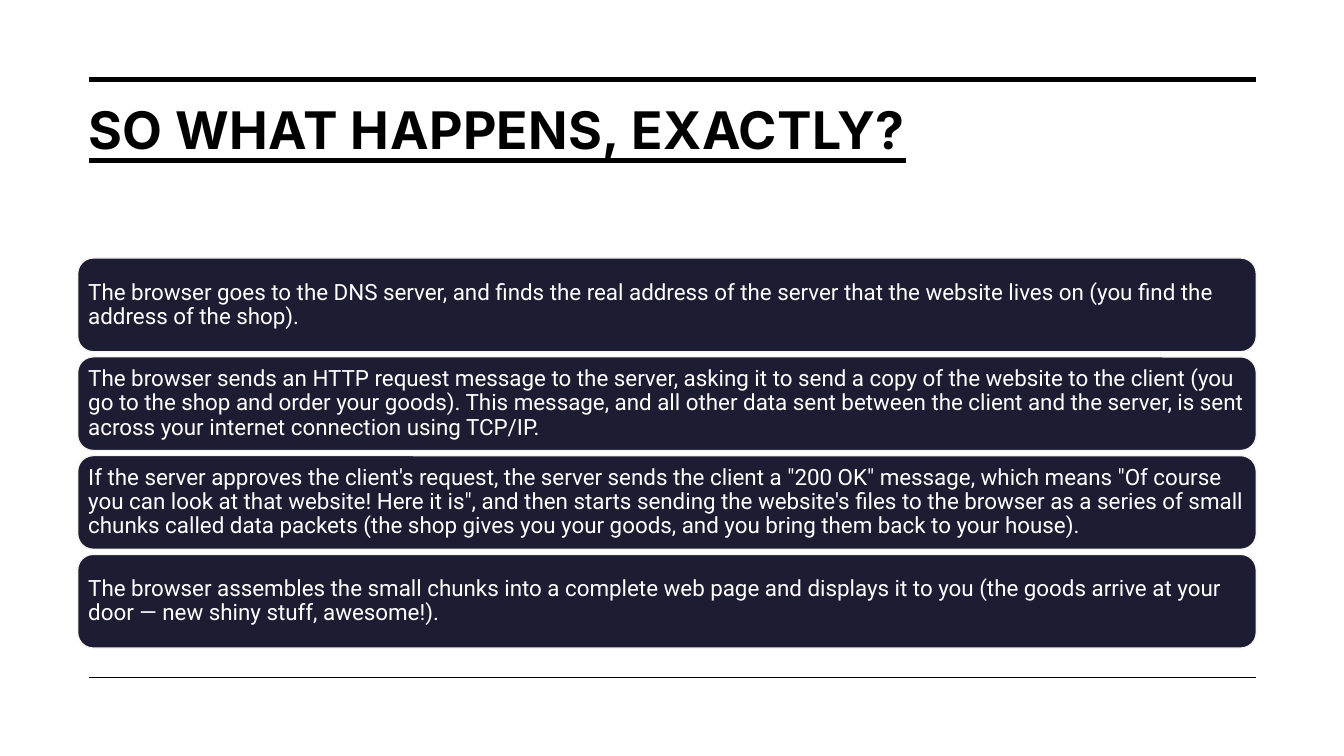
from lxml import etree
from pptx import Presentation
from pptx import util as u
from pptx.dml.color import RGBColor
from pptx.enum import shapes, text
from pptx.oxml.ns import qn

TITLE = "SO WHAT HAPPENS, EXACTLY?"
STEPS = [
    "The browser goes to the DNS server, and finds the real address of the server that the website lives on (you find the address of the shop).",
    "The browser sends an HTTP request message to the server, asking it to send a copy of the website to the client (you go to the shop and order your goods). This message, and all other data sent between the client and the server, is sent across your internet connection using TCP/IP.",
    "If the server approves the client's request, the server sends the client a \"200 OK\" message, which means \"Of course you can look at that website! Here it is\", and then starts sending the website's files to the browser as a series of small chunks called data packets (the shop gives you your goods, and you bring them back to your house).",
    "The browser assembles the small chunks into a complete web page and displays it to you (the goods arrive at your door — new shiny stuff, awesome!).",
]
RULES = [(0.79, 3.5), (6.72, 1)]

LEFT, WIDTH = 0.77, 11.69
RULE_LEFT, RULE_RIGHT = 0.88, 12.46
STEP_TOP, STEP_HEIGHT, STEP_PITCH = 2.56, 0.93, 0.98
CORNER = 0.155


def color(value):
    return RGBColor.from_string(value)


def write(box, words, font, size, ink, spacing, anchor, side, top):
    frame = box.text_frame
    frame.word_wrap = True
    frame.vertical_anchor = anchor
    frame.margin_left = frame.margin_right = u.Inches(side)
    frame.margin_top = frame.margin_bottom = u.Inches(top)
    para = frame.paragraphs[0]
    para.alignment = text.PP_ALIGN.LEFT
    para.line_spacing = spacing
    span = para.add_run()
    span.text = words
    span.font.name = font
    span.font.size = u.Pt(size)
    span.font.color.rgb = color(ink)
    return para, span


def add_title(page):
    box = page.shapes.add_textbox(u.Inches(LEFT), u.Inches(0.99), u.Inches(WIDTH), u.Inches(1.26))
    para, span = write(box, TITLE, "Inter", 37, "000000", 0.8, text.MSO_ANCHOR.TOP, 0.11, 0.1)
    span.font.bold = True
    span.font.underline = True
    span.font._element.set("spc", "30")


def add_rule(page, y, weight):
    rule = page.shapes.add_connector(
        shapes.MSO_CONNECTOR.STRAIGHT,
        u.Inches(RULE_LEFT), u.Inches(y), u.Inches(RULE_RIGHT), u.Inches(y))
    rule.line.color.rgb = color("000000")
    rule.line.width = u.Pt(weight)
    etree.SubElement(rule._element.spPr, qn("a:effectLst"))


def add_step(page, index, words):
    box = page.shapes.add_shape(
        shapes.MSO_SHAPE.ROUNDED_RECTANGLE,
        u.Inches(LEFT), u.Inches(STEP_TOP + index * STEP_PITCH),
        u.Inches(WIDTH), u.Inches(STEP_HEIGHT))
    box.adjustments[0] = CORNER / STEP_HEIGHT
    box.shadow.inherit = False
    box.fill.solid()
    box.fill.fore_color.rgb = color("1C1C32")
    box.line.color.rgb = color("F8F4F1")
    box.line.width = u.Pt(1)
    para, span = write(box, words, "Roboto", 16, "FFFFFF", 0.9, text.MSO_ANCHOR.MIDDLE, 0.06, 0.06)
    para.space_after = u.Pt(7)


def main():
    deck = Presentation()
    deck.slide_width, deck.slide_height = u.Inches(13.33), u.Inches(7.5)
    page = deck.slides.add_slide(deck.slide_layouts[6])
    add_title(page)
    for y, weight in RULES:
        add_rule(page, y, weight)
    for index, words in enumerate(STEPS):
        add_step(page, index, words)
    deck.save("out.pptx")


if __name__ == "__main__":
    main()
